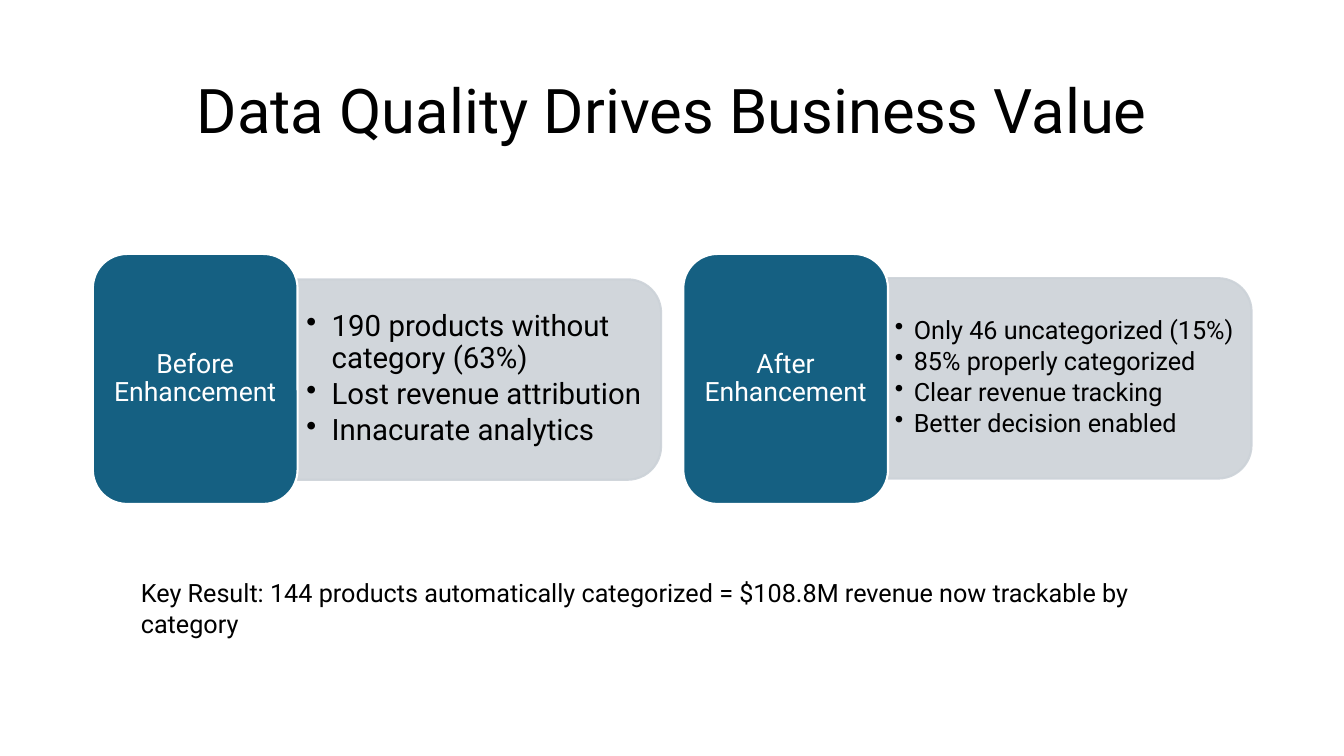
"""Build the slide that compares product data before and after enhancement."""
import pptx
import pptx.util
import pptx.oxml
import pptx.oxml.ns
import pptx.dml.color
import pptx.enum.shapes
import pptx.enum.text

Cm = pptx.util.Cm
Pt = pptx.util.Pt
SHAPES = pptx.enum.shapes.MSO_SHAPE
ALIGN = pptx.enum.text.PP_ALIGN
ANCHOR = pptx.enum.text.MSO_ANCHOR
NAMESPACE = pptx.oxml.ns.nsdecls("a")
COLOURS = {"text": "000000", "label": "156082", "panel": "CCD2D8", "white": "FFFFFF"}


def colour(name):
    return pptx.dml.color.RGBColor.from_string(COLOURS[name])


def write(box, text, size, ink="text", align=ALIGN.LEFT, anchor=ANCHOR.MIDDLE,
          side=0.25, edge=0.13, spacing=0.9, after=0, indent=None):
    frame = box.text_frame
    frame.word_wrap = True
    frame.vertical_anchor = anchor
    frame.margin_left = frame.margin_right = Cm(side)
    frame.margin_top = frame.margin_bottom = Cm(edge)
    for number, line in enumerate(text.split("\n")):
        para = frame.add_paragraph() if number else frame.paragraphs[0]
        para.alignment = align
        para.line_spacing = spacing
        para.space_after = Pt(size * after)
        if indent:
            properties = para._p.get_or_add_pPr()
            properties.set("marL", str(Cm(indent)))
            properties.set("indent", str(-Cm(indent)))
            properties.append(pptx.oxml.parse_xml(f'<a:buChar {NAMESPACE} char="•"/>'))
        span = para.add_run()
        span.text = line
        span.font.name = "Roboto"
        span.font.size = Pt(size)
        span.font.color.rgb = colour(ink)


deck = pptx.Presentation()
deck.slide_width, deck.slide_height = Cm(33.87), Cm(19.05)
page = deck.slides.add_slide(deck.slide_layouts[6])

title = page.shapes.add_textbox(Cm(2.34), Cm(1.02), Cm(29.21), Cm(3.68))
write(title, "Data Quality Drives Business Value", 44, align=ALIGN.CENTER)

stages = [
    ("Before Enhancement", "190 products without category (63%)\nLost revenue attribution\n"
     "Innacurate analytics", 21, 0.64, 0.23, 4.98),
    ("After Enhancement", "Only 46 uncategorized (15%)\n85% properly categorized\n"
     "Clear revenue tracking\nBetter decision enabled", 18, 0.48, 0.18, 4.95),
]
for column, (heading, points, size, indent, side, top) in enumerate(stages):
    left = 2.34 + column * 14.88

    panel = page.shapes.add_shape(SHAPES.ROUND_2_SAME_RECTANGLE,
                                  Cm(left + 7.21), Cm(top), Cm(5.05), Cm(9.17))
    panel.rotation = 90
    panel.shadow.inherit = False
    panel.line.width = Pt(1.5)
    panel.fill.solid()
    for paint in (panel.fill.fore_color, panel.line.color):
        paint.rgb = colour("panel")
    for tint in panel._element.spPr.iter(pptx.oxml.ns.qn("a:srgbClr")):
        tint.append(pptx.oxml.parse_xml(f'<a:alpha {NAMESPACE} val="90000"/>'))

    bullets = page.shapes.add_textbox(Cm(left + 5.15), Cm(top + 2.3), Cm(8.95), Cm(4.55))
    write(bullets, points, size, side=side, edge=0.1, after=0.15, indent=indent)

    label = page.shapes.add_shape(SHAPES.ROUNDED_RECTANGLE,
                                  Cm(left), Cm(6.4), Cm(5.16), Cm(6.3))
    label.shadow.inherit = False
    label.fill.solid()
    label.fill.fore_color.rgb = colour("label")
    label.line.color.rgb = colour("white")
    label.line.width = Pt(1.5)
    write(label, heading, 19, ink="white", align=ALIGN.CENTER, side=0.2, edge=0.1)

result = page.shapes.add_textbox(Cm(3.3), Cm(14.43), Cm(27.28), Cm(1.02))
write(result, "Key Result: 144 products automatically categorized = $108.8M revenue "
      "now trackable by category", 18, anchor=ANCHOR.TOP, spacing=1.0)

deck.save("out.pptx")
